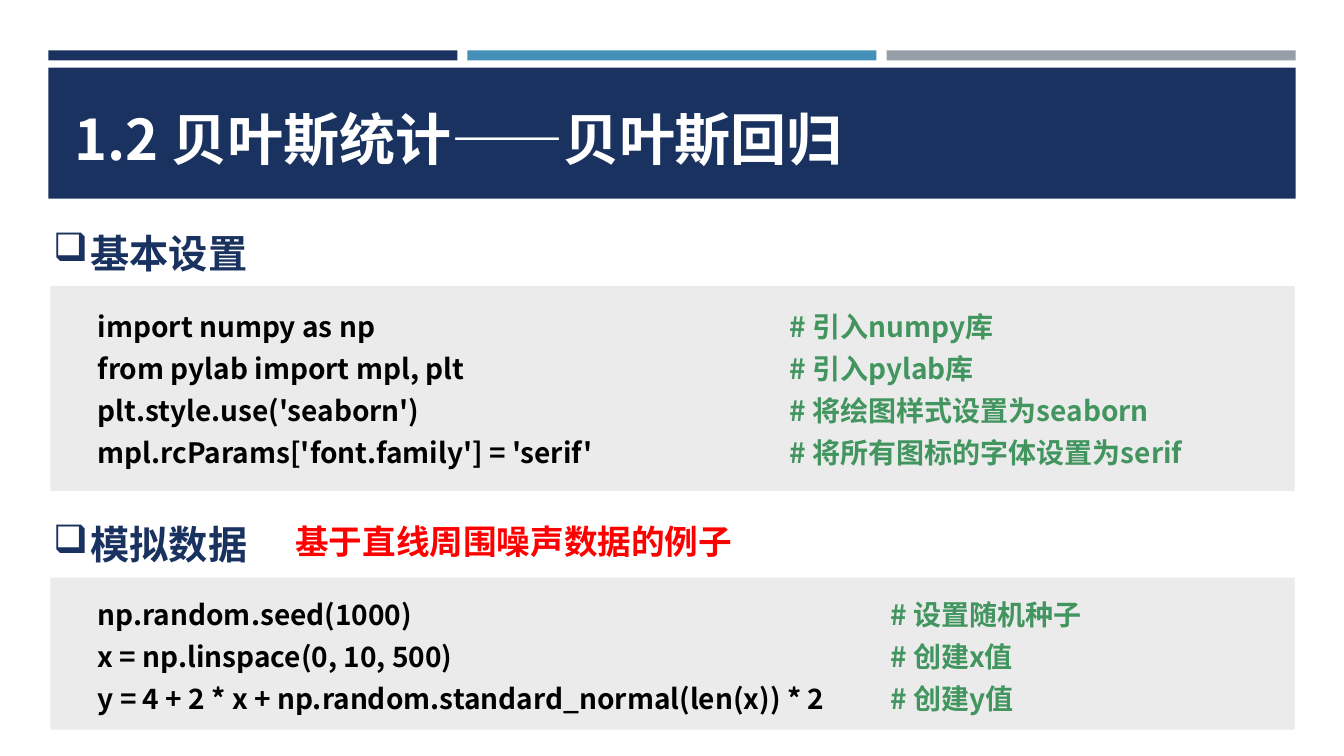
from lxml import etree
from pptx import Presentation
from pptx.dml.color import RGBColor
from pptx.enum.shapes import MSO_SHAPE
from pptx.oxml.ns import qn
from pptx.util import Inches, Pt

RECTANGLE = MSO_SHAPE.RECTANGLE
FONT = "Noto Sans CJK SC"
NAVY, BLUE, GREY = "1A3260", "4590B8", "969FA7"
PANEL, BLACK, GREEN, RED, WHITE = "EBEBEB", "000000", "42955F", "FF0000", "FFFFFF"

SETTINGS = [
    ("import numpy as np", "# 引入numpy库"),
    ("from pylab import mpl, plt", "# 引入pylab库"),
    ("plt.style.use('seaborn')", "# 将绘图样式设置为seaborn"),
    ("mpl.rcParams['font.family'] = 'serif'", "# 将所有图标的字体设置为serif"),
]
SIMULATION = [
    ("np.random.seed(1000)", "# 设置随机种子"),
    ("x = np.linspace(0, 10, 500)", "# 创建x值"),
    ("y = 4 + 2 * x + np.random.standard_normal(len(x)) * 2", "# 创建y值"),
]


def color(hex_string):
    """Turn a hex string into a colour."""
    return RGBColor.from_string(hex_string)


def add_bar(slide, left, top, width, height, fill):
    """Draw a flat rectangle without outline."""
    bar = slide.shapes.add_shape(
        RECTANGLE, Inches(left), Inches(top), Inches(width), Inches(height))
    bar.shadow.inherit = False
    bar.fill.solid()
    bar.fill.fore_color.rgb = color(fill)
    bar.line.fill.background()


def add_lines(slide, left, top, width, height, lines, size, fill, spacing=1.0):
    """Place bold lines of text and return their paragraphs."""
    frame = slide.shapes.add_textbox(
        Inches(left), Inches(top), Inches(width), Inches(height)).text_frame
    frame.word_wrap = True
    frame.text = "\n".join(lines)
    for paragraph in frame.paragraphs:
        paragraph.line_spacing = spacing
        font = paragraph.font
        font.name, font.size, font.bold = FONT, Pt(size), True
        font.color.rgb = color(fill)
        properties = paragraph._p.pPr.find(qn("a:defRPr"))
        latin = properties.find(qn("a:latin"))
        east_asian = etree.Element(qn("a:ea"), typeface=FONT)
        latin.addnext(east_asian)
    return frame.paragraphs


def add_header(slide, left, top, width, title):
    """Draw the three accent bars and the title band."""
    gap = 0.1
    bar_width = (width - 2 * gap) / 3
    for column, fill in enumerate((NAVY, BLUE, GREY)):
        add_bar(slide, left + column * (bar_width + gap), top, bar_width, 0.1, fill)
    add_bar(slide, left, top + 0.17, width, 1.3, NAVY)
    add_lines(slide, left + 0.16, top + 0.49, width - 0.45, 0.77, [title], 40, WHITE)


def add_heading(slide, left, top, width, heading):
    """Place a section heading with a box bullet."""
    paragraph = add_lines(
        slide, left, top, width, 0.72, [heading], 28, NAVY, 1.5)[0]
    paragraph.space_after = Pt(12)
    properties = paragraph._p.pPr
    properties.set("marL", str(Inches(0.37)))
    properties.set("indent", str(-Inches(0.37)))
    bullet = etree.Element(qn("a:buChar"), char="❑")
    properties.find(qn("a:defRPr")).addprevious(bullet)


def add_code_panel(slide, left, top, width, height, rows, inset, comment_offset):
    """Draw a panel with code on the left and comments on the right."""
    add_bar(slide, left, top, width, height, PANEL)
    code, comments = zip(*rows)
    text_height = len(rows) * 30 / 72 + 0.1
    columns = ((0.37, comment_offset - 0.37, code, BLACK),
               (comment_offset, width - comment_offset, comments, GREEN))
    for offset, column_width, lines, fill in columns:
        add_lines(slide, left + offset, top + inset, column_width, text_height,
                  lines, 20, fill, Pt(30))


def main():
    """Build the slide and save it."""
    presentation = Presentation()
    presentation.slide_width = Inches(13.33)
    presentation.slide_height = Inches(7.5)
    slide = presentation.slides.add_slide(presentation.slide_layouts[6])
    add_header(slide, 0.48, 0.5, 12.37, "1.2 贝叶斯统计——贝叶斯回归")
    add_heading(slide, 0.43, 1.99, 12.4, "基本设置")
    add_code_panel(slide, 0.5, 2.84, 12.34, 2.03, SETTINGS, 0.1, 7.23)
    add_heading(slide, 0.43, 4.88, 12.4, "模拟数据")
    add_code_panel(slide, 0.5, 5.73, 12.34, 1.51, SIMULATION, 0.07, 8.23)
    add_lines(slide, 2.83, 4.92, 9.96, 0.64,
              ["基于直线周围噪声数据的例子"], 24, RED, 1.5)
    presentation.save("out.pptx")


if __name__ == "__main__":
    main()
